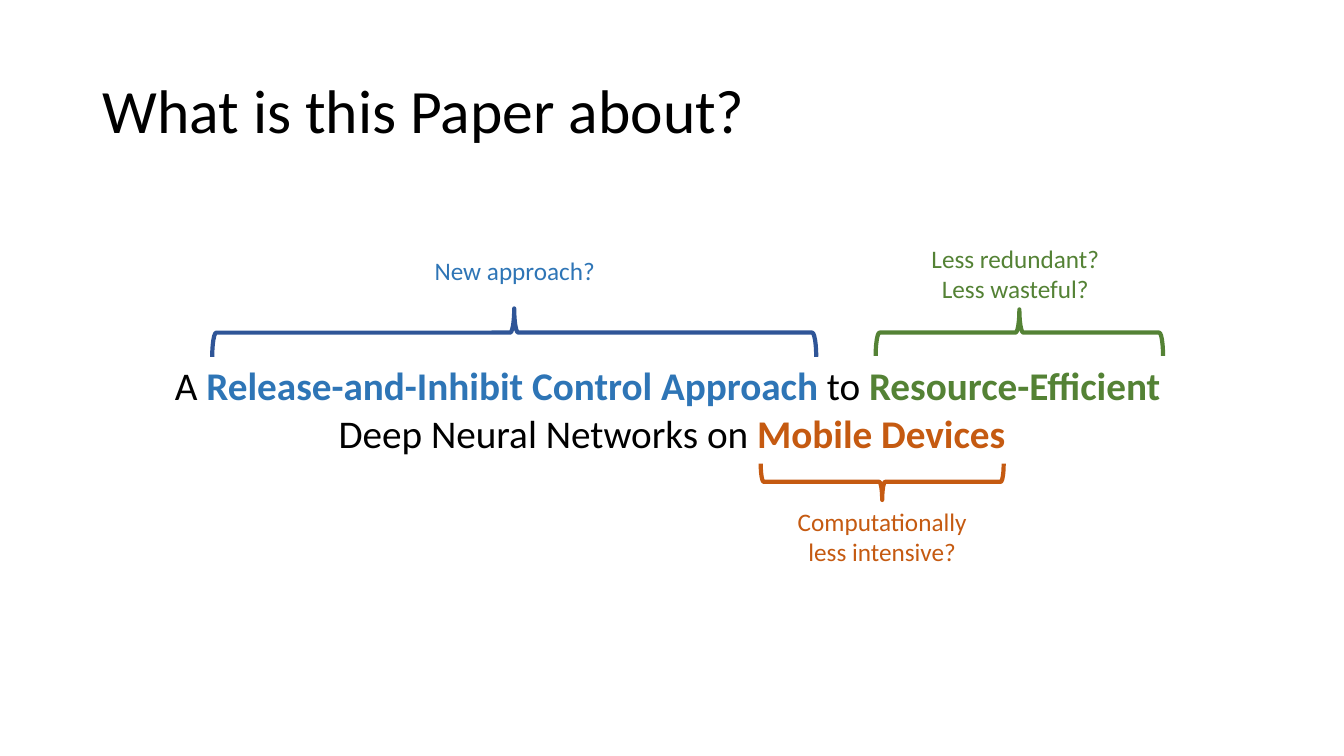
"""Build a slide that annotates the key phrases of a paper title."""
from pptx import Presentation
from pptx.dml.color import RGBColor
from pptx.enum.shapes import MSO_SHAPE as Shape
from pptx.enum.text import MSO_ANCHOR as Anchor, PP_ALIGN as Align
from pptx.util import Inches, Pt

THEME = {
    "font": "Calibri",
    "sizes": {"heading": 44, "paper": 28, "note": 18},
    "brace_line": 3,
    "colors": {
        "text": "000000",
        "approach": "2E75B6",
        "approach_brace": "2F5597",
        "efficient": "548235",
        "mobile": "C55A11",
    },
}

HEADING = [[("What is this Paper about?", "text")]]
PAPER_TITLE = [[
    ("A ", "text"),
    ("Release-and-Inhibit Control Approach ", "approach"),
    ("to ", "text"),
    ("Resource-Efficient ", "efficient"),
    ("\n", "text"),
    ("Deep Neural Networks on ", "text"),
    ("Mobile Devices", "mobile"),
]]

NOTES = [
    (["New approach?"], "approach", (4.18, 2.48, 1.85, 0.4)),
    (["Less redundant?", "Less wasteful?"], "efficient", (9.09, 2.36, 1.96, 0.71)),
    (["Computationally less intensive?"], "mobile", (7.8, 4.97, 1.9, 0.71)),
]

POINT_UP, POINT_DOWN = 90, 270
BRACES = [
    {"color": "approach_brace", "center": (5.1, 3.3), "span": 5.99, "depth": 0.48, "turn": POINT_UP},
    {"color": "efficient", "center": (10.11, 3.3), "span": 2.85, "depth": 0.46, "turn": POINT_UP},
    {"color": "mobile", "center": (8.75, 4.78), "span": 2.41, "depth": 0.36, "turn": POINT_DOWN},
]


def color_of(name):
    """Return the theme colour with this name."""
    return RGBColor.from_string(THEME["colors"][name])


def add_text(page, area, paragraphs, size, align=Align.CENTER, anchor=Anchor.TOP,
             spacing=1.0, bold_accents=False):
    """Add a wrapped text box, one run per coloured span."""
    box = page.shapes.add_textbox(*map(Inches, area))
    frame = box.text_frame
    frame.word_wrap = True
    frame.vertical_anchor = anchor
    for index, spans in enumerate(paragraphs):
        para = frame.add_paragraph() if index else frame.paragraphs[0]
        para.alignment = align
        para.line_spacing = spacing
        for text, color in spans:
            if text == "\n":
                para.add_line_break()
                continue
            span = para.add_run()
            span.text = text
            span.font.name = THEME["font"]
            span.font.size = Pt(THEME["sizes"][size])
            span.font.bold = bold_accents and color != "text"
            span.font.color.rgb = color_of(color)


def add_brace(page, color, center, span, depth, turn):
    """Add a brace turned to lie along a phrase, placed by its centre."""
    left, top = center[0] - depth / 2, center[1] - span / 2
    brace = page.shapes.add_shape(Shape.LEFT_BRACE, *map(Inches, (left, top, depth, span)))
    brace.rotation = turn
    brace.shadow.inherit = False
    brace.fill.background()
    brace.line.color.rgb = color_of(color)
    brace.line.width = Pt(THEME["brace_line"])


def main():
    """Build and save the deck."""
    deck = Presentation()
    deck.slide_width, deck.slide_height = Inches(13.33), Inches(7.5)
    page = deck.slides.add_slide(deck.slide_layouts[6])
    add_text(page, (0.92, 0.4, 11.5, 1.45), HEADING, "heading",
             align=Align.LEFT, anchor=Anchor.MIDDLE, spacing=0.9)
    add_text(page, (0, 3.54, 13.33, 1.04), PAPER_TITLE, "paper", bold_accents=True)
    for lines, color, area in NOTES:
        add_text(page, area, [[(line, color)] for line in lines], "note")
    for brace in BRACES:
        add_brace(page, **brace)
    deck.save("out.pptx")


if __name__ == "__main__":
    main()
